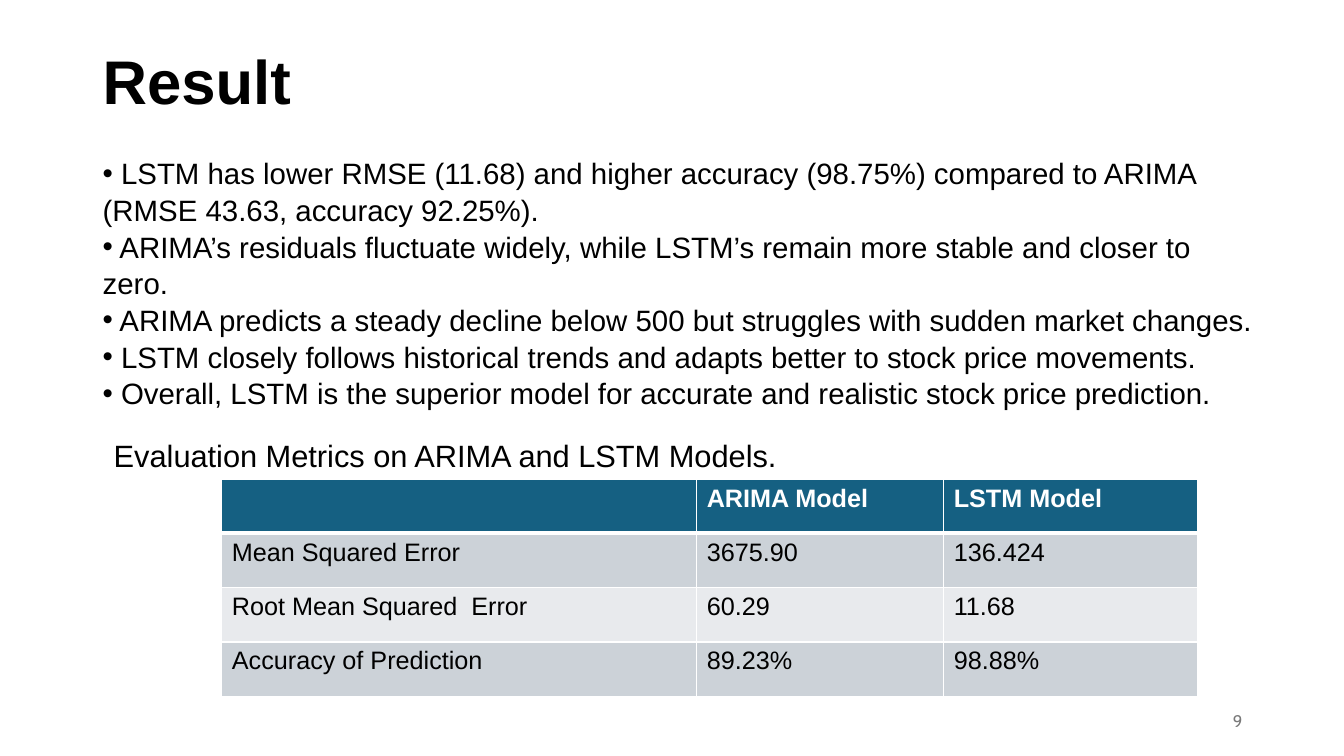
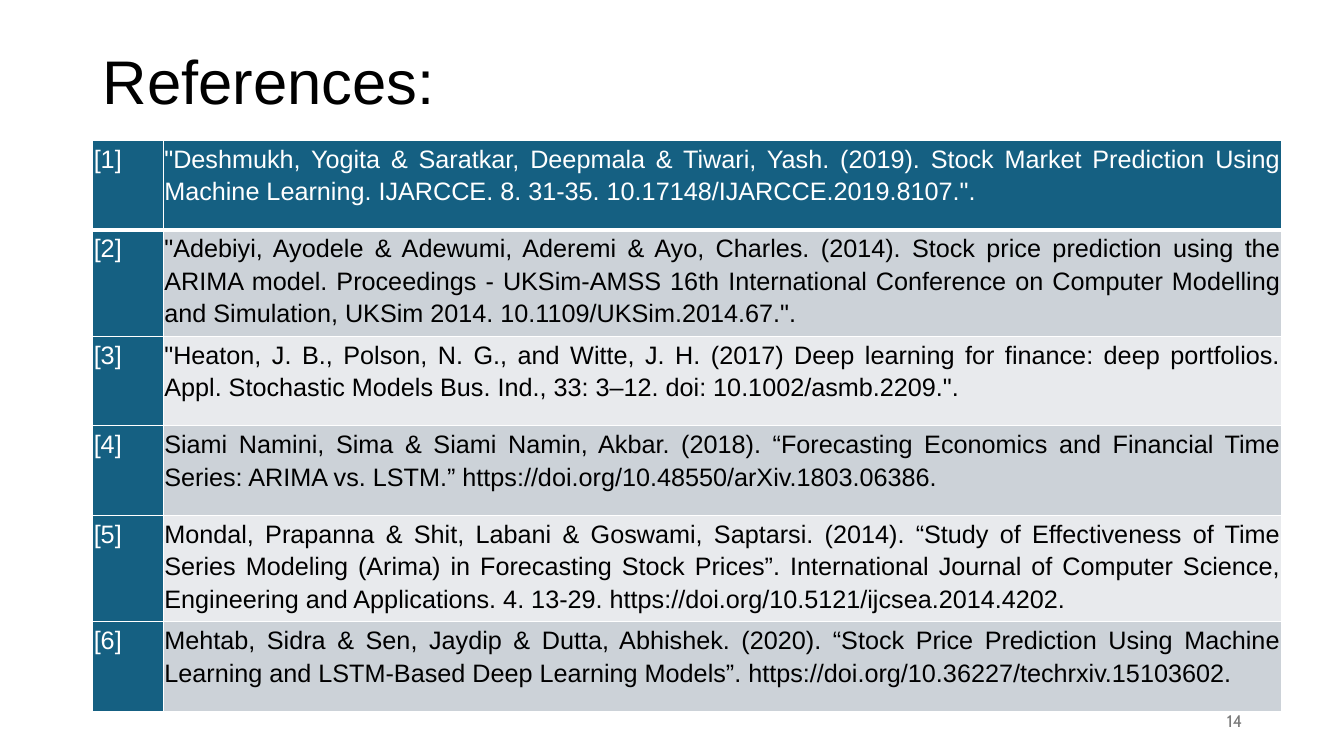
import lxml.etree
import pptx
import pptx.dml.color
import pptx.enum.text
import pptx.oxml.ns
import pptx.util

PX = 9144
BLACK, WHITE, GREY = "000000", "FFFFFF", "797979"
HEADER_FILL = "156082"
BAND_FILLS = ("CCD2D8", "E8EAED")
ALIGN = pptx.enum.text.PP_ALIGN
ANCHOR = pptx.enum.text.MSO_ANCHOR

FINDINGS = [
    "LSTM has lower RMSE (11.68) and higher accuracy (98.75%) compared to ARIMA (RMSE 43.63, accuracy 92.25%).",
    "ARIMA’s residuals fluctuate widely, while LSTM’s remain more stable and closer to zero.",
    "ARIMA predicts a steady decline below 500 but struggles with sudden market changes.",
    "LSTM closely follows historical trends and adapts better to stock price movements.",
    "Overall, LSTM is the superior model for accurate and realistic stock price prediction.",
]
METRICS = [
    ("", "ARIMA Model", "LSTM Model"),
    ("Mean Squared Error", "3675.90", "136.424"),
    ("Root Mean Squared  Error", "60.29", "11.68"),
    ("Accuracy of Prediction", "89.23%", "98.88%"),
]
REFERENCES = [
    '"Deshmukh, Yogita & Saratkar, Deepmala & Tiwari, Yash. (2019). Stock Market Prediction Using '
    'Machine Learning. IJARCCE. 8. 31-35. 10.17148/IJARCCE.2019.8107.".',
    '"Adebiyi, Ayodele & Adewumi, Aderemi & Ayo, Charles. (2014). Stock price prediction using the '
    'ARIMA model. Proceedings - UKSim-AMSS 16th International Conference on Computer Modelling '
    'and Simulation, UKSim 2014. 10.1109/UKSim.2014.67.".',
    '"Heaton, J. B., Polson, N. G., and Witte, J. H. (2017) Deep learning for finance: deep portfolios. '
    'Appl. Stochastic Models Bus. Ind., 33: 3–12. doi: 10.1002/asmb.2209.".',
    "Siami Namini, Sima & Siami Namin, Akbar. (2018). “Forecasting Economics and Financial Time "
    "Series: ARIMA vs. LSTM.” https://doi.org/10.48550/arXiv.1803.06386.",
    "Mondal, Prapanna & Shit, Labani & Goswami, Saptarsi. (2014). “Study of Effectiveness of Time "
    "Series Modeling (Arima) in Forecasting Stock Prices”. International Journal of Computer Science, "
    "Engineering and Applications. 4. 13-29. https://doi.org/10.5121/ijcsea.2014.4202.",
    "Mehtab, Sidra & Sen, Jaydip & Dutta, Abhishek. (2020). “Stock Price Prediction Using Machine "
    "Learning and LSTM-Based Deep Learning Models”. https://doi.org/10.36227/techrxiv.15103602.",
]


def px(length):
    """Turn px into EMU."""
    return pptx.util.Emu(length * PX)


def rgb(color):
    """Turn a hex string into a colour."""
    return pptx.dml.color.RGBColor.from_string(color)


def format_runs(text_frame, size, color=BLACK, bold=False, font="Arial"):
    """Give every run of a text frame the same font."""
    for paragraph in text_frame.paragraphs:
        for run in paragraph.runs:
            run.font.name = font
            run.font.size = pptx.util.Pt(size)
            run.font.bold = bold
            run.font.color.rgb = rgb(color)


def add_text(slide, text, left, top, width, height, size, anchor=ANCHOR.MIDDLE, **font):
    """Add a wrapping text box and return its text frame."""
    text_frame = slide.shapes.add_textbox(px(left), px(top), px(width), px(height)).text_frame
    text_frame.word_wrap = True
    text_frame.vertical_anchor = anchor
    text_frame.text = text
    format_runs(text_frame, size, **font)
    return text_frame


def add_slide(presentation, title, number, bold=False):
    """Add a blank slide with its title and page number."""
    slide = presentation.slides.add_slide(presentation.slide_layouts[6])
    heading = add_text(slide, title, 92, 40, 1150, 88, 44, bold=bold)
    heading.paragraphs[0].line_spacing = 0.9
    page = add_text(slide, str(number), 942, 695, 300, 40, 12, color=GREY, font="Cabin")
    page.paragraphs[0].alignment = ALIGN.RIGHT
    return slide


def add_bullets(slide, points, left, top, width, height, size):
    """Add a list whose bullets stand in line with the text."""
    text = "\n".join(f" {point}" for point in points)
    text_frame = add_text(slide, text, left, top, width, height, size, ANCHOR.TOP)
    for paragraph in text_frame.paragraphs:
        paragraph.line_spacing = 1.04
        properties = paragraph._p.get_or_add_pPr()
        properties.set("marL", "0")
        properties.set("indent", "0")
        for tag, name, value in (("a:buFont", "typeface", "Arial"), ("a:buChar", "char", "•")):
            lxml.etree.SubElement(properties, pptx.oxml.ns.qn(tag)).set(name, value)


def set_borders(cell, top, bottom):
    """Draw white cell borders, with top and bottom widths in points."""
    properties = cell._tc.get_or_add_tcPr()
    for side, width in (("L", 1), ("R", 1), ("T", top), ("B", bottom)):
        line = lxml.etree.SubElement(properties, pptx.oxml.ns.qn(f"a:ln{side}"))
        line.set("w", str(pptx.util.Pt(width)))
        fill = lxml.etree.SubElement(line, pptx.oxml.ns.qn("a:solidFill"))
        lxml.etree.SubElement(fill, pptx.oxml.ns.qn("a:srgbClr")).set("val", WHITE)


def add_table(slide, rows, left, top, widths, heights, bold_header=False, label_column=False):
    """Add a banded table with a dark header row and return it."""
    table = slide.shapes.add_table(
        len(rows), len(widths), px(left), px(top), px(sum(widths)), px(sum(heights))
    ).table
    for column, width in zip(table.columns, widths):
        column.width = px(width)
    for row_index, (values, height) in enumerate(zip(rows, heights)):
        table.rows[row_index].height = px(height)
        for column_index, value in enumerate(values):
            cell = table.cell(row_index, column_index)
            header = row_index == 0
            dark = header or (label_column and column_index == 0)
            set_borders(cell, 3 if row_index == 1 else 1, 3 if header else 1)
            cell.fill.solid()
            cell.fill.fore_color.rgb = rgb(HEADER_FILL if dark else BAND_FILLS[(row_index - 1) % 2])
            cell.text_frame.text = value
            format_runs(cell.text_frame, 18, WHITE if dark else BLACK, bold_header and header)
    return table


def justify_cells(table):
    """Justify the cells, with thin margins and open lines."""
    for cell in table.iter_cells():
        cell.margin_left = cell.margin_right = cell.margin_top = cell.margin_bottom = px(1)
        for paragraph in cell.text_frame.paragraphs:
            paragraph.alignment = ALIGN.JUSTIFY
            paragraph.line_spacing = 1.15
            paragraph.space_after = pptx.util.Pt(10)


def add_result_slide(presentation):
    """Add the findings and the metrics of both models."""
    slide = add_slide(presentation, "Result", 9, bold=True)
    add_text(slide, "Evaluation Metrics on ARIMA and LSTM Models.", 103, 428, 1100, 47, 22)
    add_table(slide, METRICS, 220, 476, [471, 245, 252], [53, 54, 54, 54], bold_header=True)
    add_bullets(slide, FINDINGS, 92, 148, 1168, 257, 21)


def add_references_slide(presentation):
    """Add the numbered references."""
    slide = add_slide(presentation, "References:", 14)
    rows = [(f"[{number}]", reference) for number, reference in enumerate(REFERENCES, 1)]
    table = add_table(slide, rows, 92, 139, [70, 1109], [89] * len(rows), label_column=True)
    justify_cells(table)


def main():
    """Build and save the presentation."""
    presentation = pptx.Presentation()
    presentation.slide_width = px(1333)
    presentation.slide_height = px(750)
    add_result_slide(presentation)
    add_references_slide(presentation)
    presentation.save("out.pptx")


if __name__ == "__main__":
    main()
